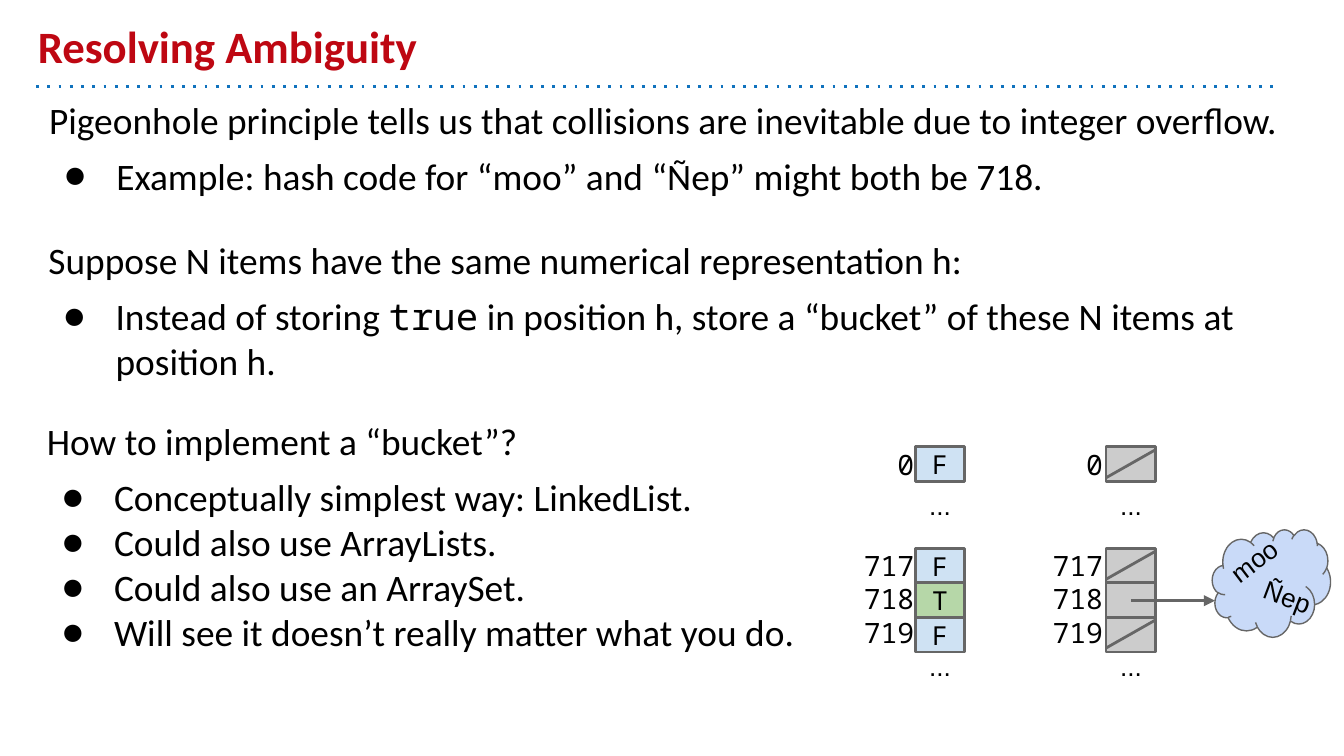
from lxml import etree
from pptx import Presentation
from pptx.dml.color import RGBColor
from pptx.enum.dml import MSO_LINE
from pptx.enum.shapes import MSO_CONNECTOR, MSO_SHAPE
from pptx.enum.text import MSO_ANCHOR, PP_ALIGN
from pptx.oxml.ns import qn
from pptx.util import Inches, Pt

RECTANGLE, CLOUD = MSO_SHAPE.RECTANGLE, MSO_SHAPE.CLOUD
STRAIGHT = MSO_CONNECTOR.STRAIGHT
DOTTED = MSO_LINE.ROUND_DOT
TOP, MIDDLE, BOTTOM = MSO_ANCHOR.TOP, MSO_ANCHOR.MIDDLE, MSO_ANCHOR.BOTTOM
LEFT, CENTER, RIGHT = PP_ALIGN.LEFT, PP_ALIGN.CENTER, PP_ALIGN.RIGHT

SANS, BODY, MONO = "Arial", "Calibri", "Noto Sans Mono"
BLACK, GRAY = "000000", "666666"
UNIT = Inches(0.1)  # the grid has 100 columns and 56.25 rows


def grid(*lengths):
    """Turn columns and rows of the grid into slide lengths."""
    return [round(length * UNIT) for length in lengths]


def color(hex_string):
    return RGBColor.from_string(hex_string)


def add_bullet(paragraph, size, font, ink):
    """Give the paragraph a hanging round bullet."""
    properties = paragraph._p.get_or_add_pPr()
    properties.set("marL", str(Inches(0.5)))
    properties.set("indent", str(-Inches(0.39)))
    bullet_color = etree.SubElement(properties, qn("a:buClr"))
    etree.SubElement(bullet_color, qn("a:srgbClr"), val=ink)
    etree.SubElement(properties, qn("a:buSzPts"), val=str(size * 100))
    etree.SubElement(properties, qn("a:buFont"), typeface=font)
    etree.SubElement(properties, qn("a:buChar"), char="●")


def write(frame, text, paragraph=None, size=20, font=BODY, ink=BLACK,
          bold=False, align=LEFT, before=0, bullet=False):
    """Write text in a new paragraph, or as a further run of a given one."""
    if paragraph is None:
        paragraph = frame.paragraphs[0]
        if paragraph.runs:
            paragraph = frame.add_paragraph()
        paragraph.alignment = align
        paragraph.space_before = Pt(before)
        if bullet:
            add_bullet(paragraph, size, font, ink)
    run = paragraph.add_run()
    run.text = text
    run.font.size, run.font.name, run.font.bold = Pt(size), font, bold
    run.font.color.rgb = color(ink)
    return paragraph


class SlideBuilder:
    """Holds the line style and the current slide."""

    def __init__(self, slide):
        self.slide = slide
        self.line_color = GRAY
        self.line_width = 1.5

    def text_box(self, left, top, width, height, anchor=TOP, side=1, rotation=0):
        box = self.slide.shapes.add_textbox(*grid(left, top, width, height))
        box.rotation = rotation
        frame = box.text_frame
        frame.word_wrap = True
        frame.vertical_anchor = anchor
        frame.margin_left, frame.margin_right = grid(side, side)
        frame.margin_top, frame.margin_bottom = grid(1, 1)
        return frame

    def shape(self, kind, left, top, width, height, fill, line_width=None):
        shape = self.slide.shapes.add_shape(kind, *grid(left, top, width, height))
        shape.shadow.inherit = False
        shape.fill.solid()
        shape.fill.fore_color.rgb = color(fill)
        shape.line.color.rgb = color(self.line_color)
        shape.line.width = Pt(line_width or self.line_width)
        return shape

    def line(self, x1, y1, x2, y2, ink=None, dotted=False, arrow=False):
        connector = self.slide.shapes.add_connector(STRAIGHT, *grid(x1, y1, x2, y2))
        connector.line.color.rgb = color(ink or self.line_color)
        connector.line.width = Pt(self.line_width)
        properties = connector._element.spPr
        outline = properties.find(qn("a:ln"))
        if dotted:
            connector.line.dash_style = DOTTED
            outline.find(qn("a:prstDash")).set("val", "dot")
        if arrow:
            etree.SubElement(outline, qn("a:tailEnd"), type="triangle")
        etree.SubElement(properties, qn("a:effectLst"))

    def section(self, left, top, width, height, heading, bullets):
        """A heading with bullets below; a bullet is a list of (text, font)."""
        frame = self.text_box(left, top, width, height)
        write(frame, heading, before=6)
        for number, runs in enumerate(bullets):
            paragraph = None
            for text, font in runs:
                paragraph = write(frame, text, paragraph, font=font, bullet=True,
                                  before=0 if number else 6)

    def indices(self, left):
        """The index numbers beside an array, with a gap after 0."""
        frame = self.text_box(left, 32.3, 7.2, 20.2)
        for text in ("0", "717", "718", "719"):
            write(frame, text, size=15, font=MONO, align=RIGHT,
                  before=36 if text == "717" else 0)

    def ellipses(self, left):
        for top in (35.4, 47.4):
            frame = self.text_box(left, top, CELL_WIDTH, CELL_HEIGHT, side=0)
            write(frame, "...", size=14, font=SANS, align=CENTER)

    def cell(self, left, top, fill, text=""):
        cell = self.shape(RECTANGLE, left, top, CELL_WIDTH, CELL_HEIGHT, fill)
        if text:
            frame = cell.text_frame
            frame.vertical_anchor = MIDDLE
            frame.margin_left = frame.margin_right = UNIT
            write(frame, text, size=14, font=MONO, align=CENTER)


CELL_WIDTH, CELL_HEIGHT = 3.7, 2.6
CELL_TOPS = [33.25] + [40.8 + 2.56 * row for row in range(3)]
FLAG_FILLS = {"F": "CFE2F3", "T": "B6D7A8"}


def main():
    presentation = Presentation()
    presentation.slide_width, presentation.slide_height = grid(100, 56.25)
    slide = presentation.slides.add_slide(presentation.slide_layouts[6])
    builder = SlideBuilder(slide)

    # Title and rule
    builder.line(2.7, 6.42, 95, 6.42, ink="1072BD", dotted=True)
    title = builder.text_box(1.83, 1, 90, 5.4, anchor=BOTTOM)
    write(title, "Resolving Ambiguity", size=24, ink="BE0712", bold=True)

    # Body text
    builder.section(
        2.67, 6.2, 95.5, 10,
        "Pigeonhole principle tells us that collisions are inevitable due to integer overflow.",
        [[("Example: hash code for “moo” and “Ñep” might both be 718.", BODY)]])
    builder.section(
        2.62, 16.65, 92.4, 13.5,
        "Suppose N items have the same numerical representation h:",
        [[("Instead of storing ", BODY), ("true", MONO),
          (" in position h, store a “bucket” of these N items at position h.", BODY)]])
    builder.section(
        2.5, 30.15, 59.2, 24.3, "How to implement a “bucket”?",
        [[(text, BODY)] for text in (
            "Conceptually simplest way: LinkedList.",
            "Could also use ArrayLists.",
            "Could also use an ArraySet.",
            "Will see it doesn’t really matter what you do.")])

    # Array of true and false flags
    flags_left = 68.1
    builder.indices(61.8)
    builder.ellipses(flags_left)
    for top, flag in zip(CELL_TOPS, "FFTF"):
        builder.cell(flags_left, top, FLAG_FILLS[flag], flag)

    # Array of buckets: a slash marks an empty one
    buckets_left = 82.3
    builder.indices(75.85)
    builder.ellipses(buckets_left)
    for top in CELL_TOPS:
        builder.cell(buckets_left, top, "CCCCCC")
    for row in (0, 1, 3):
        top = CELL_TOPS[row]
        builder.line(buckets_left, top + 2.3, buckets_left + CELL_WIDTH, top + 0.2)

    # Bucket at 718 with its items
    builder.line(buckets_left + CELL_WIDTH / 2, 44.7, 90.4, 44.7, arrow=True)
    builder.shape(CLOUD, 90.2, 39.4, 8.8, 8, "C9DAF8", line_width=0.75)
    for text, left, top, rotation in (("moo", 89.9, 38.9, 322.7),
                                      ("Ñep", 93.1, 42.7, 20.8)):
        frame = builder.text_box(left, top, 8.1, 3.5, rotation=rotation)
        write(frame, text, size=14, font=SANS)

    presentation.save("out.pptx")


if __name__ == "__main__":
    main()
